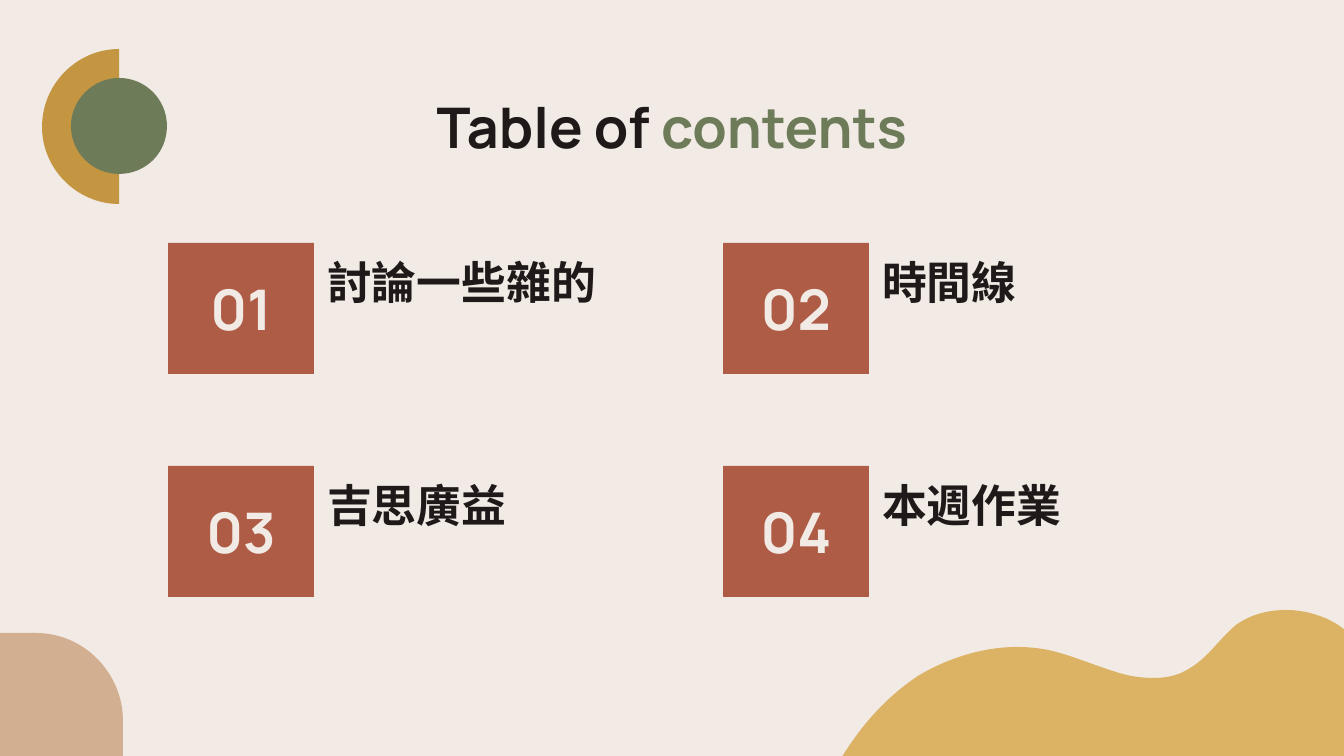
"""Build a table-of-contents slide with four numbered topics and organic corner shapes."""
from dataclasses import dataclass
from typing import Any, NamedTuple

import lxml.etree
import pptx
import pptx.dml.color
import pptx.enum.shapes
import pptx.enum.text
import pptx.oxml
import pptx.oxml.ns
import pptx.util

EMU_PER_PX = 914400 / 134.4
MIDDLE = pptx.enum.text.MSO_ANCHOR.MIDDLE
CENTER = pptx.enum.text.PP_ALIGN.CENTER


@dataclass(frozen=True)
class Theme:
    cream: str = "F1EAE5"
    ink: str = "1F191A"
    sage: str = "6E7B59"
    rust: str = "AF5C46"
    ochre: str = "C59642"
    honey: str = "DCB364"
    tan: str = "D3AF92"
    latin: str = "Manrope"
    chinese: str = "Noto Sans CJK TC"
    heading_size: int = 30
    topic_size: int = 24


class Box(NamedTuple):
    left: int
    top: int
    width: int
    height: int


class Point(NamedTuple):
    x: int
    y: int


class Line(NamedTuple):
    end: Point


class Curve(NamedTuple):
    leave: Point
    arrive: Point
    end: Point


class Outline(NamedTuple):
    start: Point
    segments: list[Line | Curve]
    color: str


class Topic(NamedTuple):
    number: str
    title: str
    face: str


THEME = Theme()

ROUNDED_CORNER = Outline(Point(123, 721), [
    Curve(Point(123, 673), Point(84, 633), Point(36, 633)),
    Line(Point(-1, 633)), Line(Point(-1, 757)), Line(Point(123, 757)),
], THEME.tan)

HILLS = Outline(Point(1286, 610), [
    Curve(Point(1312, 610), Point(1339, 621), Point(1353, 638)),
    Line(Point(1349, 765)),
    Curve(Point(1325, 765), Point(1302, 765), Point(1278, 765)),
    Curve(Point(1153, 765), Point(1029, 767), Point(905, 767)),
    Curve(Point(882, 767), Point(859, 767), Point(836, 767)),
    Curve(Point(856, 732), Point(882, 700), Point(918, 676)),
    Curve(Point(946, 659), Point(982, 647), Point(1017, 647)),
    Curve(Point(1028, 647), Point(1038, 648), Point(1048, 650)),
    Curve(Point(1071, 655), Point(1093, 665), Point(1116, 672)),
    Curve(Point(1128, 676), Point(1141, 678), Point(1153, 678)),
    Curve(Point(1165, 678), Point(1176, 676), Point(1185, 671)),
    Curve(Point(1207, 660), Point(1218, 640), Point(1236, 625)),
    Curve(Point(1250, 615), Point(1267, 610), Point(1286, 610)),
], THEME.honey)

HALF_DISC = Outline(Point(119, 49), [
    Line(Point(119, 204)),
    Curve(Point(77, 204), Point(42, 169), Point(42, 127)),
    Curve(Point(42, 84), Point(77, 49), Point(119, 49)),
], THEME.ochre)

DISC = Outline(Point(119, 78), [
    Curve(Point(146, 78), Point(167, 100), Point(167, 126)),
    Curve(Point(167, 153), Point(146, 174), Point(119, 174)),
    Curve(Point(93, 174), Point(71, 153), Point(71, 126)),
    Curve(Point(71, 100), Point(93, 78), Point(119, 78)),
], THEME.sage)

TOPICS = [
    Topic("01", "討論一些雜的", THEME.latin),
    Topic("02", "時間線", THEME.chinese),
    Topic("03", "吉思廣益", THEME.chinese),
    Topic("04", "本週作業", THEME.chinese),
]


def px(length: int) -> pptx.util.Emu:
    return pptx.util.Emu(round(length * EMU_PER_PX))


def rgb(color: str) -> pptx.dml.color.RGBColor:
    return pptx.dml.color.RGBColor.from_string(color)


def paint(shape: Any, color: str) -> None:
    shape.fill.solid()
    shape.fill.fore_color.rgb = rgb(color)
    shape.line.fill.background()
    shape.shadow.inherit = False


def add_run(paragraph: Any, text: str, *, color: str, size: int, face: str) -> None:
    run = paragraph.add_run()
    run.text = text
    run.font.name = face
    run.font.size = pptx.util.Pt(size)
    run.font.bold = True
    run.font.color.rgb = rgb(color)
    east_asian = pptx.oxml.parse_xml(
        f'<a:ea {pptx.oxml.ns.nsdecls("a")} typeface="{THEME.chinese}"/>'
    )
    run.font._element.find(pptx.oxml.ns.qn("a:latin")).addnext(east_asian)


def write(
    shape: Any,
    *parts: tuple[str, str],
    size: int = THEME.heading_size,
    face: str = THEME.latin,
    align: Any = CENTER,
    anchor: Any = MIDDLE,
) -> None:
    frame = shape.text_frame
    frame.word_wrap = True
    frame.vertical_anchor = anchor
    frame.margin_left = frame.margin_right = pptx.util.Inches(0.1)
    frame.margin_top = frame.margin_bottom = pptx.util.Inches(0.1)
    paragraph = frame.paragraphs[0]
    paragraph.alignment = align
    for text, color in parts:
        add_run(paragraph, text, color=color, size=size, face=face)


def add_outline(slide: Any, outline: Outline) -> None:
    vertices = [point for segment in outline.segments for point in segment]
    builder = slide.shapes.build_freeform(px(outline.start.x), px(outline.start.y))
    builder.add_line_segments([(px(x), px(y)) for x, y in vertices], close=True)
    shape = builder.convert_to_shape()
    steps = iter(list(shape._element.iter(pptx.oxml.ns.qn("a:lnTo"))))
    for segment in outline.segments:
        group = [next(steps) for _ in segment]
        if isinstance(segment, Curve):
            bezier = lxml.etree.Element(pptx.oxml.ns.qn("a:cubicBezTo"))
            group[0].addprevious(bezier)
            for step in group:
                bezier.append(step[0])
                step.getparent().remove(step)
    paint(shape, outline.color)


def add_topic(slide: Any, topic: Topic, left: int, top: int) -> None:
    tile = Box(left, top, 146, 131)
    number = slide.shapes.add_shape(pptx.enum.shapes.MSO_SHAPE.RECTANGLE, *map(px, tile))
    paint(number, THEME.rust)
    write(number, (topic.number, THEME.cream))
    title = slide.shapes.add_textbox(*map(px, Box(left + tile.width, top + 14, 355, 65)))
    write(title, (topic.title, THEME.ink), size=THEME.topic_size, face=topic.face,
          align=pptx.enum.text.PP_ALIGN.LEFT, anchor=pptx.enum.text.MSO_ANCHOR.BOTTOM)


def main() -> None:
    deck = pptx.Presentation()
    deck.slide_width, deck.slide_height = px(1344), px(756)
    slide = deck.slides.add_slide(deck.slide_layouts[6])
    slide.background.fill.solid()
    slide.background.fill.fore_color.rgb = rgb(THEME.cream)
    add_outline(slide, ROUNDED_CORNER)
    add_outline(slide, HILLS)
    heading = slide.shapes.add_textbox(*map(px, Box(286, 79, 772, 70)))
    write(heading, ("Table of ", THEME.ink), ("contents", THEME.sage),
          anchor=pptx.enum.text.MSO_ANCHOR.TOP)
    for index, topic in enumerate(TOPICS):
        row, column = divmod(index, 2)
        add_topic(slide, topic, 168 + 555 * column, 243 + 223 * row)
    add_outline(slide, HALF_DISC)
    add_outline(slide, DISC)
    deck.save("out.pptx")


if __name__ == "__main__":
    main()
